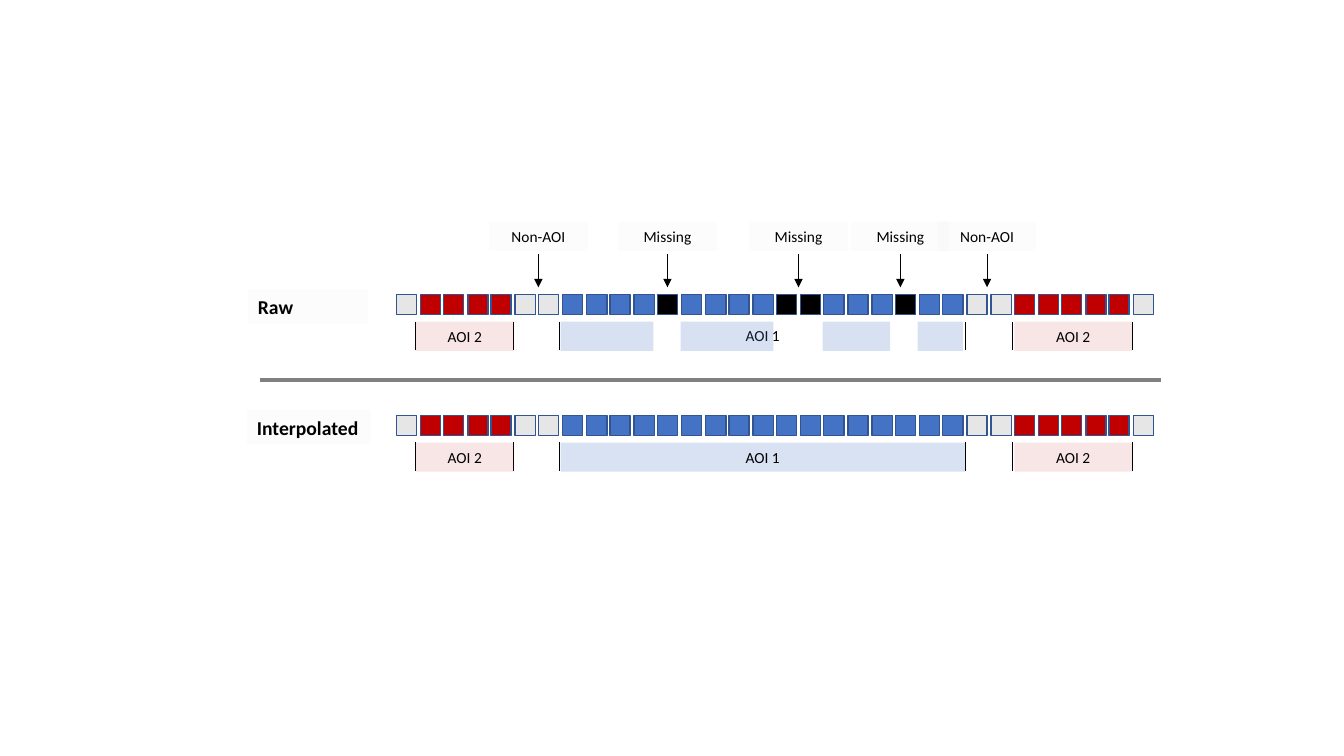
from dataclasses import dataclass

from lxml.etree import SubElement
from pptx import Presentation
from pptx.dml.color import RGBColor
from pptx.enum.shapes import MSO_CONNECTOR, MSO_SHAPE
from pptx.enum.text import MSO_AUTO_SIZE, PP_ALIGN
from pptx.oxml.ns import qn
from pptx.util import Emu, Pt

EMU_PER_PX = 9144


def px(length):
    """Turn hundredths of an inch into EMU."""
    return Emu(length * EMU_PER_PX)


@dataclass(frozen=True)
class Theme:
    """Colours, type sizes and line widths of the slide."""
    font: str = "Calibri"
    ink: str = "000000"
    grey: str = "E7E6E6"
    red: str = "C00000"
    blue: str = "4472C4"
    outline: str = "325491"
    divider: str = "808080"
    label_size: int = 11
    heading_size: int = 14
    thin: float = 0.5
    cell_line: float = 1
    thick: float = 3


class TimelineSlide:
    """Draws styled timeline elements on one slide."""

    def __init__(self, slide, theme):
        """Keep the slide and its theme."""
        self.slide = slide
        self.theme = theme

    def box(self, left, top, width, height, color, opacity=100, outline=None):
        """Add a rectangle with a solid or translucent fill."""
        shape = self.slide.shapes.add_shape(
            MSO_SHAPE.RECTANGLE, px(left), px(top), px(width), px(height))
        shape.shadow.inherit = False
        shape.fill.solid()
        shape.fill.fore_color.rgb = RGBColor.from_string(color)
        if opacity < 100:
            fill_color = shape.element.spPr.find(qn("a:solidFill"))[0]
            SubElement(fill_color, qn("a:alpha"), val=str(opacity * 1000))
        if outline:
            shape.line.color.rgb = RGBColor.from_string(outline)
            shape.line.width = Pt(self.theme.cell_line)
        else:
            shape.line.fill.background()
        return shape

    def set_text(self, shape, text, size, alignment=PP_ALIGN.CENTER, bold=False):
        """Put one styled paragraph into a shape."""
        frame = shape.text_frame
        frame.word_wrap = True
        frame.auto_size = MSO_AUTO_SIZE.SHAPE_TO_FIT_TEXT
        paragraph = frame.paragraphs[0]
        paragraph.text = text
        paragraph.alignment = alignment
        paragraph.font.name = self.theme.font
        paragraph.font.size = Pt(size)
        paragraph.font.bold = bold
        paragraph.font.color.rgb = RGBColor.from_string(self.theme.ink)

    def label(self, text, left, top, width, color, opacity):
        """Add a small centred label on a translucent band."""
        shape = self.box(left, top, width, 29, color, opacity)
        self.set_text(shape, text, self.theme.label_size)

    def plain_label(self, text, left, top, width):
        """Add a small centred label without a fill."""
        shape = self.slide.shapes.add_textbox(px(left), px(top), px(width), px(29))
        self.set_text(shape, text, self.theme.label_size)

    def heading(self, text, left, top, width):
        """Add a bold row heading."""
        shape = self.box(left, top, width, 34, self.theme.grey, 10)
        self.set_text(shape, text, self.theme.heading_size, PP_ALIGN.LEFT, True)

    def line(self, start, end, color, width, arrow=False, shapes=None):
        """Add a straight line, with an optional arrowhead."""
        shapes = self.slide.shapes if shapes is None else shapes
        connector = shapes.add_connector(
            MSO_CONNECTOR.STRAIGHT, *(px(value) for value in (*start, *end)))
        connector.line.color.rgb = RGBColor.from_string(color)
        connector.line.width = Pt(width)
        properties = connector.element.spPr
        if arrow:
            SubElement(properties.find(qn("a:ln")), qn("a:tailEnd"), type="triangle")
        SubElement(properties, qn("a:effectLst"))

    def cells(self, pattern, top):
        """Add one square per sample, coloured by its letter."""
        theme = self.theme
        colors = {"N": theme.grey, "R": theme.red, "B": theme.blue, "M": theme.ink}
        first, last = 393, 1124
        pitch = (last - first) / (len(pattern) - 1)
        for index, sample in enumerate(pattern):
            left = round(first + index * pitch)
            self.box(left, top, 20, 20, colors[sample], outline=theme.outline)

    def boundaries(self, positions, top):
        """Add the grouped vertical limits of the areas."""
        group = self.slide.shapes.add_group_shape()
        for x in positions:
            self.line((x, top), (x, top + 28), self.theme.ink, self.theme.thin,
                      shapes=group.shapes)

    def callout(self, text, center):
        """Add a label with an arrow pointing down to the samples."""
        self.label(text, center - 49, 220, 98, self.theme.grey, 10)
        self.line((center, 252), (center, 285), self.theme.ink, self.theme.thin, arrow=True)


RAW = "NRRRRNNBBBBMBBBBMMBBBMBBNNRRRRRN"
INTERPOLATED = RAW.replace("M", "B")
ROWS = [("Raw", RAW, 292, 246, 119), ("Interpolated", INTERPOLATED, 412, 245, 123)]
BOUNDARIES = [412, 509, 1004, 1123, 555, 957]
RED_AREAS = [(412, 98), (1006, 117)]
BLUE_AREA = (556, 401)
RAW_SEGMENTS = [(556, 92), (675, 92), (816, 67), (910, 45)]
CALLOUTS = [("Non-AOI", 534), ("Non-AOI", 979), ("Missing", 662), ("Missing", 792),
            ("Missing", 893)]


def main():
    """Build and save the timeline slide."""
    presentation = Presentation()
    presentation.slide_width = px(1333)
    presentation.slide_height = px(750)
    theme = Theme()
    timeline = TimelineSlide(
        presentation.slides.add_slide(presentation.slide_layouts[6]), theme)

    for name, pattern, top, heading_left, heading_width in ROWS:
        area_top = top + 27
        left, width = BLUE_AREA
        timeline.cells(pattern, top)
        timeline.boundaries(BOUNDARIES, area_top)
        for red_left, red_width in RED_AREAS:
            timeline.label("AOI 2", red_left, area_top, red_width, theme.red, 10)
        if "M" in pattern:
            timeline.plain_label("AOI 1", left, area_top, width)
            for segment_left, segment_width in RAW_SEGMENTS:
                timeline.box(segment_left, area_top, segment_width, 29, theme.blue, 21)
        else:
            timeline.label("AOI 1", left, area_top, width, theme.blue, 20)
        timeline.heading(name, heading_left, top - 5, heading_width)

    for text, center in CALLOUTS:
        timeline.callout(text, center)
    timeline.line((258, 377), (1152, 377), theme.divider, theme.thick)

    presentation.save("out.pptx")


if __name__ == "__main__":
    main()
